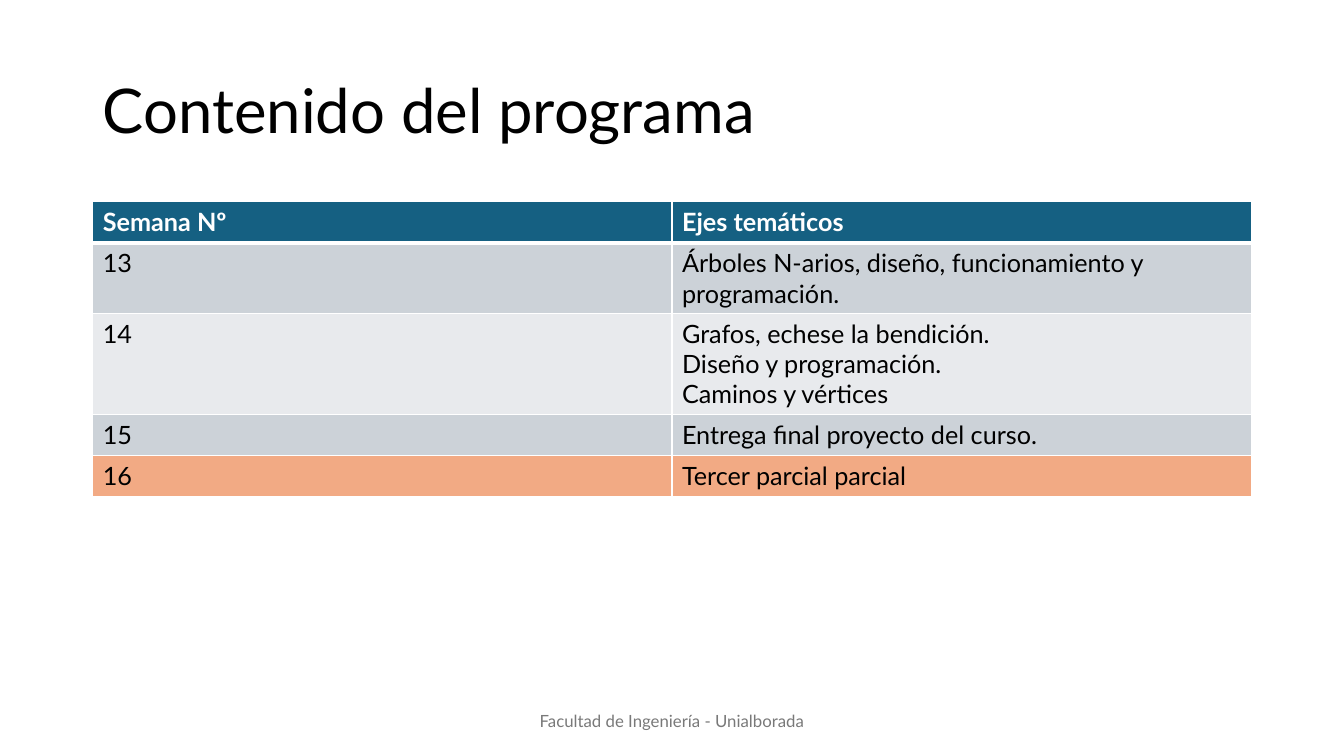
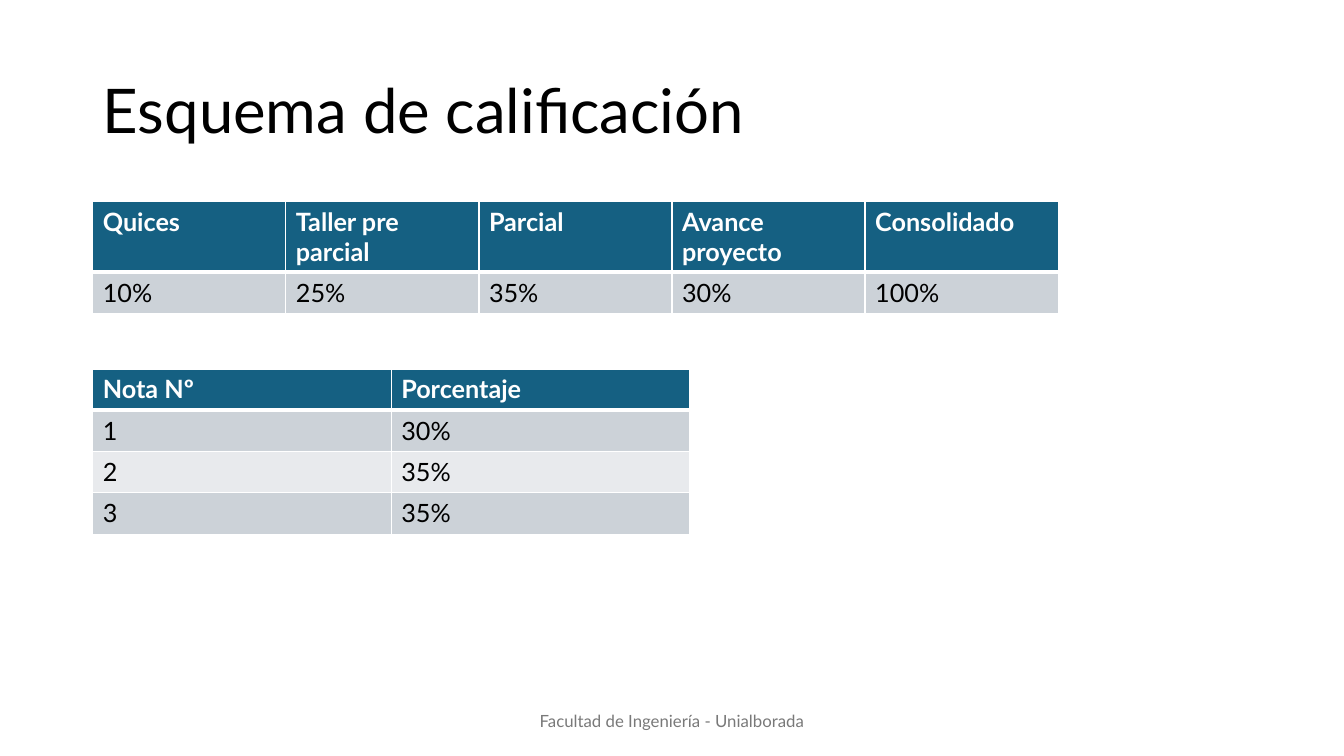
"""Builds two course slides with programme and grading tables."""
from lxml import etree
from pptx import Presentation
from pptx import util as u
from pptx.dml.color import RGBColor
from pptx.enum import text
from pptx.oxml import ns

FONT = "Lato"
BLACK = RGBColor(0x00, 0x00, 0x00)
WHITE = RGBColor(0xFF, 0xFF, 0xFF)
GREY = RGBColor(0x79, 0x79, 0x79)
HEADER_BLUE = RGBColor(0x15, 0x60, 0x82)
BANDS = (RGBColor(0xCC, 0xD2, 0xD8), RGBColor(0xE8, 0xEA, 0xED))
EXAM_ORANGE = RGBColor(0xF2, 0xAA, 0x84)

WIDTH, HEIGHT = u.Inches(13.33), u.Inches(7.5)
MARGIN = u.Inches(0.92)
CONTENT_WIDTH = WIDTH - 2 * MARGIN
COLUMN = CONTENT_WIDTH / 12
ROW = u.Inches(0.41)
TABLE_TOP = u.Inches(2)
THIN, THICK = u.Pt(1), u.Pt(3)
FOOTER = "Facultad de Ingeniería - Unialborada"


def format_text(paragraph, size, color, bold=False):
    """Give every run of a paragraph the shared font."""
    for run in paragraph.runs:
        run.font.name = FONT
        run.font.size = u.Pt(size)
        run.font.bold = bold
        run.font.color.rgb = color


def place(shape, left, top, width, height):
    """Move and size a shape with whole lengths."""
    shape.left, shape.top = int(left), int(top)
    shape.width, shape.height = int(width), int(height)


def add_title(slide, title):
    """Fill and format the title placeholder."""
    shape = slide.shapes.title
    place(shape, MARGIN, u.Inches(0.4), CONTENT_WIDTH, u.Inches(1.45))
    frame = shape.text_frame
    frame.text = title
    frame.auto_size = text.MSO_AUTO_SIZE.NONE
    frame.vertical_anchor = text.MSO_ANCHOR.MIDDLE
    paragraph = frame.paragraphs[0]
    paragraph.alignment = text.PP_ALIGN.LEFT
    paragraph.line_spacing = 0.9
    format_text(paragraph, 44, BLACK)


def add_footer(slide):
    """Add the centred faculty line at the foot of the slide."""
    width = u.Inches(4.5)
    shape = slide.shapes.add_textbox(
        (WIDTH - width) // 2, u.Inches(6.95), width, u.Inches(0.4))
    frame = shape.text_frame
    frame.word_wrap = True
    frame.vertical_anchor = text.MSO_ANCHOR.MIDDLE
    paragraph = frame.paragraphs[0]
    paragraph.text = FOOTER
    paragraph.alignment = text.PP_ALIGN.CENTER
    format_text(paragraph, 12, GREY)


def add_borders(cell, top, bottom):
    """Draw white borders around a cell."""
    properties = cell._tc.get_or_add_tcPr()
    for side, width in (("L", THIN), ("R", THIN), ("T", top), ("B", bottom)):
        line = etree.SubElement(properties, ns.qn(f"a:ln{side}"), w=str(width))
        fill = etree.SubElement(line, ns.qn("a:solidFill"))
        etree.SubElement(fill, ns.qn("a:srgbClr"), val=str(WHITE))


def format_cell(cell, content, row, fill):
    """Write one cell, with the header in bold white."""
    is_header = row == 0
    paragraph = cell.text_frame.paragraphs[0]
    paragraph.text = content
    format_text(paragraph, 18, WHITE if is_header else BLACK, is_header)
    add_borders(cell, THICK if row == 1 else THIN, THICK if is_header else THIN)
    cell.fill.solid()
    cell.fill.fore_color.rgb = fill


def add_banded_table(slide, rows, top, column_width, highlighted=None):
    """Add a table with a header, banded rows and an optional highlighted row."""
    count = len(rows[0])
    table = slide.shapes.add_table(
        len(rows), count, MARGIN, int(top),
        int(column_width * count), ROW * len(rows)).table
    for column in table.columns:
        column.width = int(column_width)
    for index, contents in enumerate(rows):
        table.rows[index].height = ROW
        fill = HEADER_BLUE if index == 0 else BANDS[(index - 1) % 2]
        if index == highlighted:
            fill = EXAM_ORANGE
        for column, content in enumerate(contents):
            format_cell(table.cell(index, column), content, index, fill)


def add_slide(presentation, title):
    """Add a slide with the shared title and footer."""
    slide = presentation.slides.add_slide(presentation.slide_layouts[5])
    add_title(slide, title)
    add_footer(slide)
    return slide


def main():
    """Build and save the presentation."""
    presentation = Presentation()
    presentation.slide_width, presentation.slide_height = WIDTH, HEIGHT

    programme = add_slide(presentation, "Contenido del programa")
    add_banded_table(programme, [
        ("Semana Nº", "Ejes temáticos"),
        ("13", "Árboles N-arios, diseño, funcionamiento y programación."),
        ("14", "Grafos, echese la bendición.\nDiseño y programación.\n"
               "Caminos y vértices"),
        ("15", "Entrega final proyecto del curso."),
        ("16", "Tercer parcial parcial"),
    ], TABLE_TOP, 6 * COLUMN, highlighted=4)

    grading = add_slide(presentation, "Esquema de calificación")
    add_banded_table(grading, [
        ("Quices", "Taller pre parcial", "Parcial", "Avance proyecto",
         "Consolidado"),
        ("10%", "25%", "35%", "30%", "100%"),
    ], TABLE_TOP, 2 * COLUMN)
    add_banded_table(grading, [
        ("Nota Nº", "Porcentaje"),
        ("1", "30%"),
        ("2", "35%"),
        ("3", "35%"),
    ], u.Inches(3.66), u.Inches(2.96))

    presentation.save("out.pptx")


if __name__ == "__main__":
    main()
